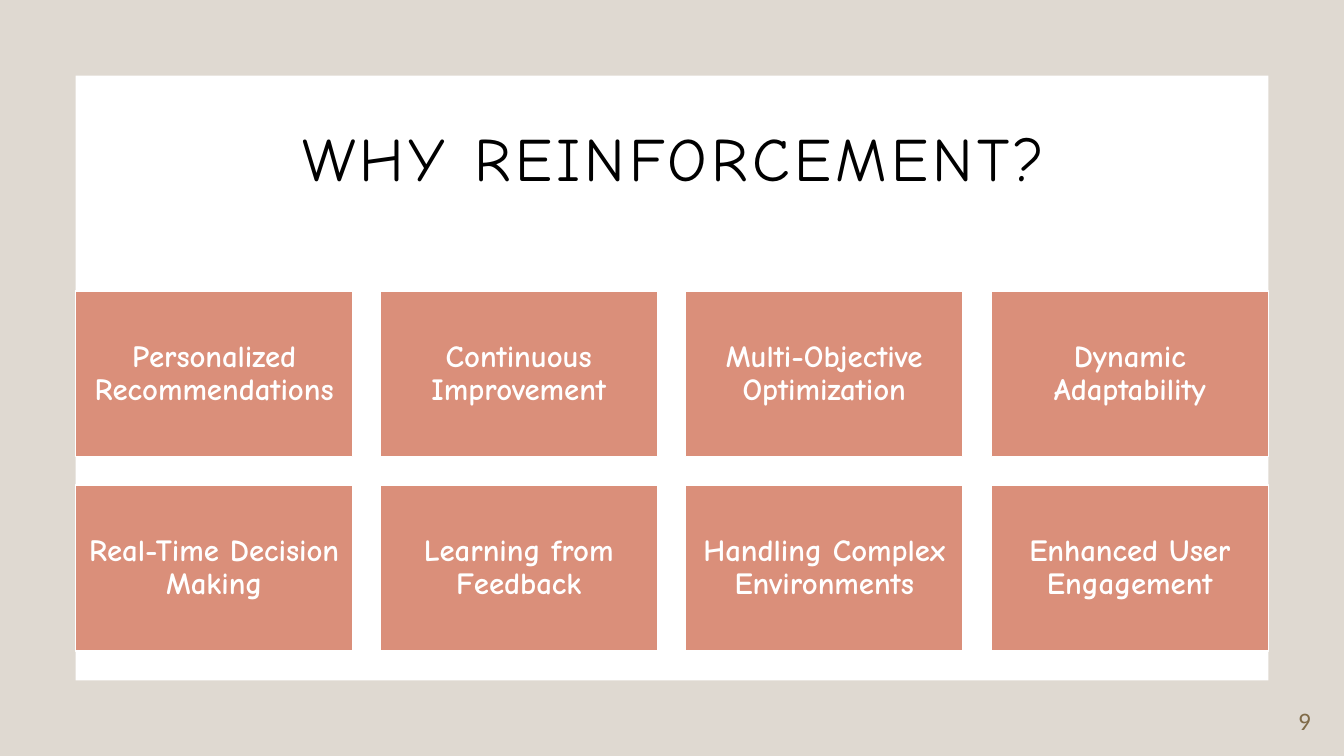
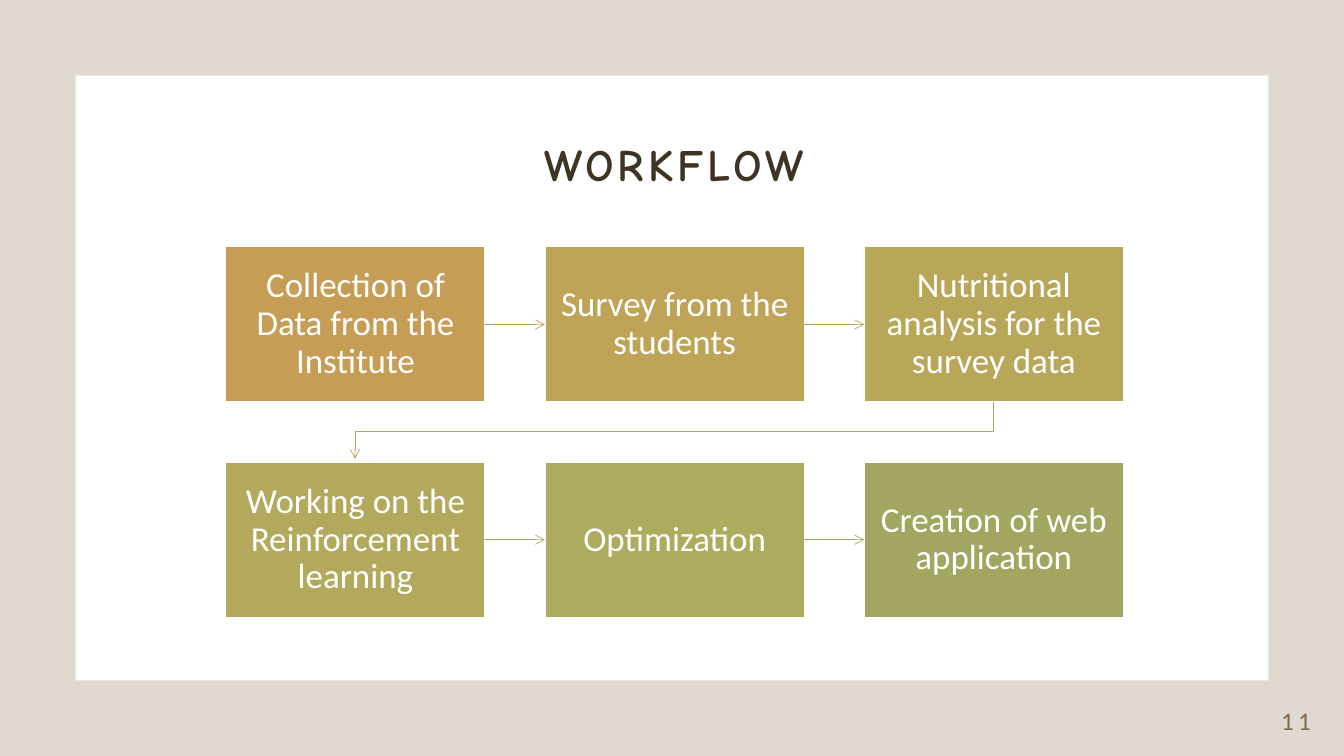
from dataclasses import dataclass, replace

from lxml.etree import SubElement
from pptx import Presentation
from pptx.dml.color import RGBColor
from pptx.enum.shapes import MSO_CONNECTOR, MSO_SHAPE
from pptx.enum.text import MSO_ANCHOR, MSO_AUTO_SIZE, PP_ALIGN
from pptx.oxml.ns import qn
from pptx.shapes.autoshape import Shape
from pptx.shapes.base import BaseShape
from pptx.slide import Slide
from pptx.util import Emu, Pt

EMU_PER_PX = 9525
SLIDE_WIDTH, SLIDE_HEIGHT = 1280, 720
WHITE, BLACK = "FFFFFF", "000000"
BROWN, DARK_BROWN, SALMON = "806B48", "3E3423", "DA8F7A"
HAND_FONT, BODY_FONT = "Comic Neue", "Calibri"


@dataclass(frozen=True)
class Box:
    left: int
    top: int
    width: int
    height: int


@dataclass(frozen=True)
class TextStyle:
    font: str
    size: int
    color: str
    bold: bool = False
    tracking: int = 0
    align: PP_ALIGN = PP_ALIGN.CENTER
    anchor: MSO_ANCHOR = MSO_ANCHOR.MIDDLE
    line_spacing: float = 0.9


@dataclass(frozen=True)
class Step:
    label: str
    color: str
    arrow_color: str = ""


BACKDROP = Box(0, 0, SLIDE_WIDTH, SLIDE_HEIGHT)
PANEL = Box(72, 72, 1136, 576)
PAGE_NUMBER = Box(1167, 667, 91, 38)

TITLE_STYLE = TextStyle(HAND_FONT, 44, BLACK, tracking=3, anchor=MSO_ANCHOR.BOTTOM)
WORKFLOW_TITLE_STYLE = replace(
    TITLE_STYLE, size=32, color=DARK_BROWN, bold=True, anchor=MSO_ANCHOR.MIDDLE
)
NUMBER_STYLE = TextStyle(
    BODY_FONT, 18, BROWN, tracking=3, align=PP_ALIGN.RIGHT, line_spacing=1.0
)
REASON_STYLE = TextStyle(HAND_FONT, 22, WHITE, bold=True)
STEP_STYLE = TextStyle(BODY_FONT, 25, WHITE)

REASONS = [
    "Personalized Recommendations",
    "Continuous Improvement",
    "Multi-Objective Optimization",
    "Dynamic Adaptability",
    "Real-Time Decision Making",
    "Learning from Feedback",
    "Handling Complex Environments",
    "Enhanced User Engagement",
]
STEPS = [
    Step("Collection of Data from the Institute", "C59D55", "C59D55"),
    Step("Survey from the students", "BFA357", "BEA458"),
    Step("Nutritional analysis for the survey data", "B9A759", "B6A85A"),
    Step("Working on the Reinforcement learning", "B3A95C", "AEAA5E"),
    Step("Optimization", "ADAB5E", "A2A661"),
    Step("Creation of web application", "A2A661"),
]


def px(length: int) -> Emu:
    return Emu(length * EMU_PER_PX)


def rgb(color: str) -> RGBColor:
    return RGBColor.from_string(color)


def place(box: Box) -> tuple[Emu, Emu, Emu, Emu]:
    return px(box.left), px(box.top), px(box.width), px(box.height)


def grid(first: Box, span: int, columns: int, row_pitch: int, count: int) -> list[Box]:
    travel = span - first.width
    return [
        replace(
            first,
            left=first.left + travel * (index % columns) // (columns - 1),
            top=first.top + row_pitch * (index // columns),
        )
        for index in range(count)
    ]


def write(shape: Shape, text: str, style: TextStyle) -> None:
    frame = shape.text_frame
    frame.word_wrap = True
    frame.auto_size = MSO_AUTO_SIZE.NONE
    frame.vertical_anchor = style.anchor
    paragraph = frame.paragraphs[0]
    paragraph.alignment = style.align
    paragraph.line_spacing = style.line_spacing
    run = paragraph.add_run()
    run.text = text
    run.font.name = style.font
    run.font.size = Pt(style.size)
    run.font.bold = style.bold
    run.font.color.rgb = rgb(style.color)
    if style.tracking:
        run._r.get_or_add_rPr().set("spc", str(style.tracking * 100))


def add_rectangle(slide: Slide, box: Box, color: str, outlined: bool = False) -> Shape:
    rectangle = slide.shapes.add_shape(MSO_SHAPE.RECTANGLE, *place(box))
    rectangle.shadow.inherit = False
    rectangle.fill.solid()
    rectangle.fill.fore_color.rgb = rgb(color)
    if outlined:
        rectangle.line.color.rgb = rgb(WHITE)
        rectangle.line.width = Pt(1)
    else:
        rectangle.line.fill.background()
    return rectangle


def add_card(
    slide: Slide, box: Box, text: str, color: str, style: TextStyle, inset: int
) -> Shape:
    card = add_rectangle(slide, box, color, outlined=True)
    frame = card.text_frame
    frame.margin_left = frame.margin_right = px(inset)
    frame.margin_top = frame.margin_bottom = px(inset)
    write(card, text, style)
    return card


def style_arrow(arrow: BaseShape, color: str) -> None:
    arrow.line.color.rgb = rgb(color)
    arrow.line.width = Pt(0.5)
    properties = arrow.element.spPr
    SubElement(properties.find(qn("a:ln")), qn("a:tailEnd"), type="arrow")
    SubElement(properties, qn("a:effectLst"))


def add_straight_arrow(slide: Slide, source: Shape, target: Shape, color: str) -> None:
    arrow = slide.shapes.add_connector(MSO_CONNECTOR.STRAIGHT, 0, 0, 0, 0)
    arrow.begin_connect(source, 3)
    arrow.end_connect(target, 1)
    style_arrow(arrow, color)


def add_row_arrow(slide: Slide, source: Box, target: Box, color: str) -> None:
    start_x = source.left + source.width // 2
    end_x = target.left + target.width // 2
    start_y = source.top + source.height
    turn_y = (start_y + target.top) // 2
    builder = slide.shapes.build_freeform(px(start_x), px(start_y))
    corners = [(start_x, turn_y), (end_x, turn_y), (end_x, target.top - 3)]
    builder.add_line_segments([(px(x), px(y)) for x, y in corners], close=False)
    arrow = builder.convert_to_shape()
    arrow.fill.background()
    style_arrow(arrow, color)


def add_framed_slide(
    deck: Presentation, title_text: str, title_box: Box, style: TextStyle, number: int
) -> Slide:
    slide = deck.slides.add_slide(deck.slide_layouts[5])
    backdrop = add_rectangle(slide, BACKDROP, BROWN)
    tint = backdrop.element.spPr.find(qn("a:solidFill"))[0]
    SubElement(tint, qn("a:alpha"), val="25000")
    add_rectangle(slide, PANEL, WHITE)

    title = slide.shapes.title
    title.left, title.top, title.width, title.height = place(title_box)
    write(title, title_text, style)
    title.element.getparent().append(title.element)

    page_number = slide.shapes.add_textbox(*place(PAGE_NUMBER))
    write(page_number, str(number), NUMBER_STYLE)
    return slide


def build_reasons(deck: Presentation) -> None:
    slide = add_framed_slide(
        deck, "WHY REINFORCEMENT?", Box(144, 85, 996, 105), TITLE_STYLE, 9
    )
    boxes = grid(Box(72, 277, 264, 158), PANEL.width, 4, 185, len(REASONS))
    for reason, box in zip(REASONS, boxes):
        add_card(slide, box, reason, SALMON, REASON_STYLE, 9)


def build_workflow(deck: Presentation) -> None:
    slide = add_framed_slide(
        deck, "WORKFLOW", Box(144, 112, 996, 94), WORKFLOW_TITLE_STYLE, 11
    )
    boxes = grid(Box(215, 235, 247, 148), 855, 3, 205, len(STEPS))
    cards = [
        add_card(slide, box, step.label, step.color, STEP_STYLE, 12)
        for step, box in zip(STEPS, boxes)
    ]
    for index, step in enumerate(STEPS[:-1]):
        following = index + 1
        if boxes[index].top == boxes[following].top:
            add_straight_arrow(slide, cards[index], cards[following], step.arrow_color)
        else:
            add_row_arrow(slide, boxes[index], boxes[following], step.arrow_color)


def main() -> None:
    deck = Presentation()
    deck.slide_width = px(SLIDE_WIDTH)
    deck.slide_height = px(SLIDE_HEIGHT)
    build_reasons(deck)
    build_workflow(deck)
    deck.save("out.pptx")


if __name__ == "__main__":
    main()
